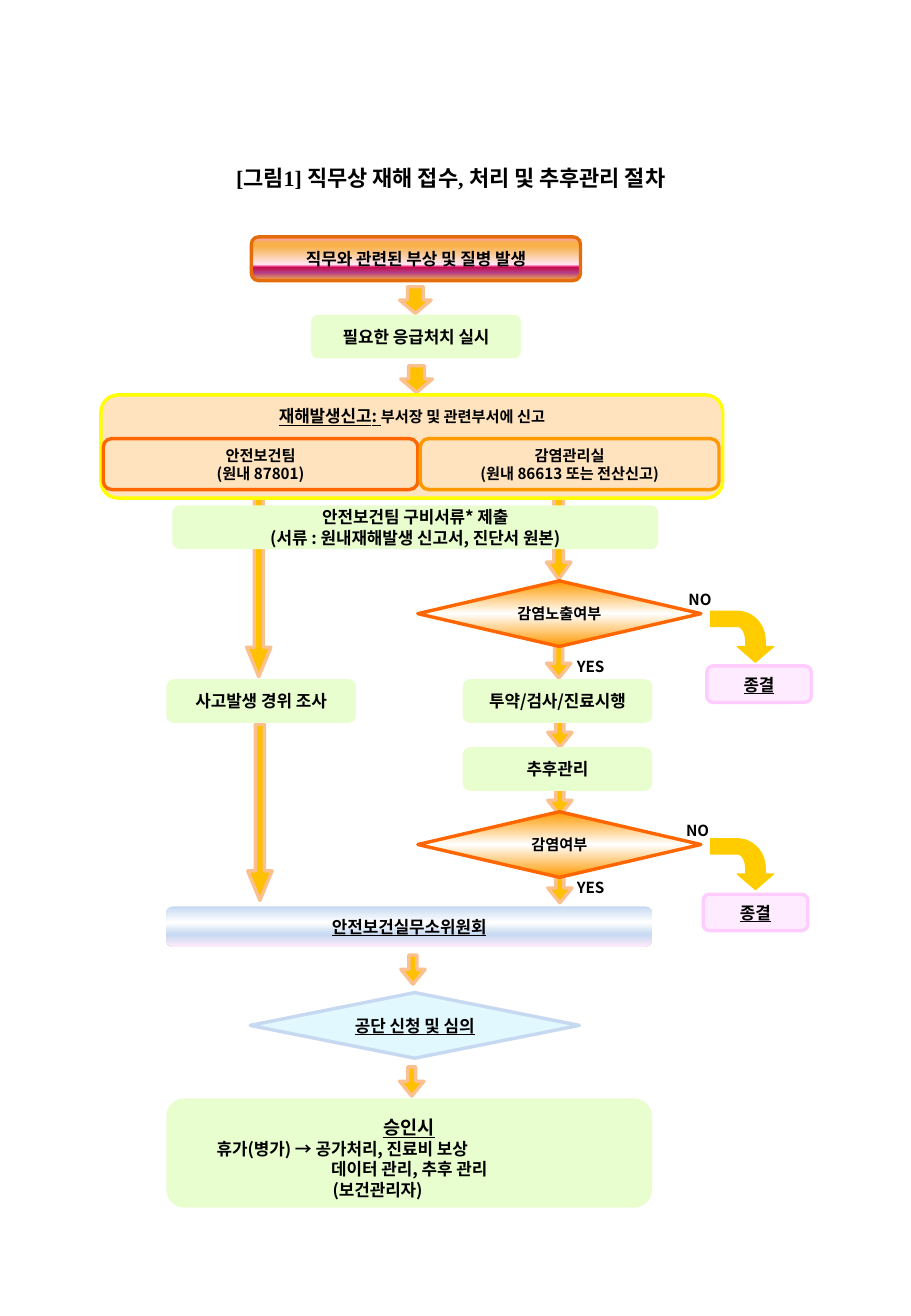
"""Build the flowchart slide for reporting and following up work-related injuries."""
from math import cos, radians, sin

from lxml.etree import SubElement
from pptx import Presentation
from pptx.dml.color import RGBColor
from pptx.enum.shapes import MSO_SHAPE
from pptx.enum.text import MSO_ANCHOR, MSO_AUTO_SIZE, PP_ALIGN
from pptx.oxml.ns import qn
from pptx.util import Pt


class Theme:
    sans, serif = "Noto Sans CJK KR", "Times New Roman"
    title, heading, body, small = 13, 11, 10, 9
    leading = 1.22
    ink = "000000"
    green, peach, ice, pink = "E9FECE", "FEE3BE", "E1F8FF", "FFEBFF"
    pink_edge, ice_edge = "FFCCFF", "C6D9F1"
    yellow, orange, amber, rust = "FFFF00", "FF6600", "FF9900", "E46C0A"
    arrow, arrow_edge, bend = "FFC000", "FAC090", "FFCC00"
    incident = [(0, "FC9FCB"), (13, "F8B049"), (21, "F8B049"), (63, "FEE7F2"),
                (67, "F952A0"), (69, "C50849"), (82, "B43E85"), (100, "F8B049")]
    decision = [(0, "FF9900"), (50, "FFFFFF"), (100, "FF9900")]
    committee = [(0, "C6D9F1"), (40, "FFFFFF"), (70, "C6D9F1"), (100, "FFEBFA")]


def write(para, text, size=Theme.body, font=Theme.sans, underline=False):
    span = para.add_run()
    span.text = text
    span.font.size = Pt(size)
    span.font.bold = True
    span.font.underline = underline
    span.font.color.rgb = RGBColor.from_string(Theme.ink)
    span.font.name = font
    SubElement(span.font._element, qn("a:ea")).set("typeface", Theme.sans)


def paint(shape, fill, edge=None, weight=2):
    shape.shadow.inherit = False
    if isinstance(fill, list):
        shape.fill.gradient()
        shape.fill.gradient_angle = 270
        stops = shape.fill._xPr.find(qn("a:gradFill")).find(qn("a:gsLst"))
        for stop in list(stops):
            stops.remove(stop)
        for position, colour in fill:
            stop = SubElement(stops, qn("a:gs"))
            stop.set("pos", str(position * 1000))
            SubElement(stop, qn("a:srgbClr")).set("val", colour)
    else:
        shape.fill.solid()
        shape.fill.fore_color.rgb = RGBColor.from_string(fill)
    if edge:
        shape.line.color.rgb = RGBColor.from_string(edge)
        shape.line.width = Pt(weight)
    else:
        shape.line.fill.background()


deck = Presentation()
deck.slide_width, deck.slide_height = Pt(540), Pt(779.8)
page = deck.slides.add_slide(deck.slide_layouts[5])

title = page.shapes.title
title.left, title.top, title.width, title.height = Pt(119.5), Pt(93.6), Pt(295.2), Pt(23)
frame = title.text_frame
frame.auto_size = MSO_AUTO_SIZE.NONE
frame.word_wrap = True
frame.vertical_anchor = MSO_ANCHOR.MIDDLE
frame.margin_left = frame.margin_right = frame.margin_top = frame.margin_bottom = 0
frame.paragraphs[0].alignment = PP_ALIGN.CENTER
write(frame.paragraphs[0], "[그림1] 직무상 재해 접수, 처리 및 추후관리 절차",
      size=Theme.title, font=Theme.serif)

wide, slim, long = (0.5, 0.5), (0.33, 0.61), (0.37, 1.21)
arrows = [
    (236.9, 169.9, 18.7, 15.8, wide),
    (237.6, 216.7, 18.7, 15.8, wide),
    (324, 295.2, 14.4, 48.2, (0.4, 0.71)),
    (146.2, 295.2, 14.4, 105.8, long),
    (146.9, 429.1, 14.4, 104.4, long),
    (324, 381.6, 14.4, 20.2, slim),
    (324.7, 425.5, 14.4, 17.3, slim),
    (324.7, 465.8, 14.4, 17.3, slim),
    (324.7, 517.7, 14.4, 17.3, slim),
    (237.6, 565.9, 14.4, 17.3, slim),
    (236.9, 632.2, 14.4, 17.3, slim),
]
for left, top, width, height, (shaft, head) in arrows:
    arrow = page.shapes.add_shape(MSO_SHAPE.DOWN_ARROW, Pt(left), Pt(top), Pt(width), Pt(height))
    arrow.adjustments[0], arrow.adjustments[1] = shaft, head
    paint(arrow, Theme.arrow, Theme.arrow_edge)

report = page.shapes.add_shape(MSO_SHAPE.ROUNDED_RECTANGLE, Pt(59.8), Pt(234), Pt(368.6), Pt(61.2))
paint(report, Theme.peach, Theme.yellow)
report.text_frame.vertical_anchor = MSO_ANCHOR.TOP
para = report.text_frame.paragraphs[0]
para.alignment = PP_ALIGN.CENTER
write(para, "재해발생신고: ", underline=True)
write(para, "부서장 및 관련부서에 신고", size=Theme.small)

rounded, diamond = MSO_SHAPE.ROUNDED_RECTANGLE, MSO_SHAPE.FLOWCHART_DECISION
plain, small = {}, {"size": Theme.small}
marked = {"underline": True}
boxes = [
    (rounded, 149, 140.4, 195.1, 25.9, Theme.incident, Theme.rust, plain,
     "직무와 관련된 부상 및 질병 발생"),
    (rounded, 184.3, 186.5, 124.6, 25.9, Theme.green, None, plain, "필요한 응급처치 실시"),
    (rounded, 61.2, 259.9, 186.5, 30.2, Theme.peach, Theme.orange, small,
     "안전보건팀\n(원내 87801)"),
    (rounded, 249.1, 259.9, 177.1, 30.2, Theme.peach, Theme.amber, small,
     "감염관리실\n(원내 86613 또는 전산신고)"),
    (rounded, 102.2, 299.5, 288, 25.9, Theme.green, None, plain,
     "안전보건팀 구비서류* 제출\n(서류 : 원내재해발생 신고서, 진단서 원본)"),
    (diamond, 247.7, 344.2, 167.8, 38.9, Theme.decision, Theme.orange, small, "감염노출여부"),
    (rounded, 419, 394.6, 61.9, 21.6, Theme.pink, Theme.pink_edge, marked, "종결"),
    (rounded, 98.6, 402.5, 112.3, 25.9, Theme.green, None, plain, "사고발생 경위 조사"),
    (rounded, 274.3, 402.5, 112.3, 25.9, Theme.green, None, plain, "투약/검사/진료시행"),
    (rounded, 274.3, 442.8, 112.3, 25.9, Theme.green, None, plain, "추후관리"),
    (diamond, 247.7, 481, 167.8, 38.9, Theme.decision, Theme.orange, small, "감염여부"),
    (rounded, 416.9, 529.9, 61.9, 21.6, Theme.pink, Theme.pink_edge, marked, "종결"),
    (rounded, 98.6, 537.1, 288, 23.8, Theme.committee, None, marked, "안전보건실무소위원회"),
    (diamond, 148.3, 588.2, 195.1, 38.9, Theme.ice, Theme.ice_edge, marked, "공단 신청 및 심의"),
]
for kind, left, top, width, height, fill, edge, style, text in boxes:
    box = page.shapes.add_shape(kind, Pt(left), Pt(top), Pt(width), Pt(height))
    paint(box, fill, edge)
    frame = box.text_frame
    frame.word_wrap = True
    frame.vertical_anchor = MSO_ANCHOR.MIDDLE
    frame.margin_left = frame.margin_right = frame.margin_top = frame.margin_bottom = 0
    for number, line in enumerate(text.split("\n")):
        para = frame.add_paragraph() if number else frame.paragraphs[0]
        para.alignment = PP_ALIGN.CENTER
        para.line_spacing = Pt(style.get("size", Theme.body) * Theme.leading)
        write(para, line, **style)

approval = page.shapes.add_shape(rounded, Pt(98.6), Pt(650.9), Pt(288), Pt(64.8))
paint(approval, Theme.green)
frame = approval.text_frame
frame.vertical_anchor = MSO_ANCHOR.MIDDLE
frame.margin_top, frame.margin_bottom = Pt(6.4), 0
approval_lines = [
    ("승인시", {"size": Theme.heading, "underline": True}, None),
    ("휴가(병가) → 공가처리, 진료비 보상", plain, 19.6),
    ("데이터 관리, 추후 관리", plain, None),
    ("(보건관리자)", plain, 88.3),
]
for number, (text, style, indent) in enumerate(approval_lines):
    para = frame.add_paragraph() if number else frame.paragraphs[0]
    para.alignment = PP_ALIGN.LEFT if indent else PP_ALIGN.CENTER
    para.line_spacing = Pt(Theme.body * Theme.leading)
    if indent:
        para._p.get_or_add_pPr().set("marL", str(Pt(indent)))
    write(para, text, **style)

answers = [("NO", 401, 346.3), ("YES", 334.8, 385.9), ("NO", 399.6, 483.1), ("YES", 334.8, 517)]
for text, left, top in answers:
    label = page.shapes.add_textbox(Pt(left), Pt(top), Pt(32.4), Pt(18))
    label.text_frame.word_wrap = False
    write(label.text_frame.paragraphs[0], text, size=Theme.small)

angles = [radians(degree) for degree in range(0, 91, 10)]
outer = [(15.8 + 16.6 * cos(a), 17.3 - 17.3 * sin(a)) for a in angles]
inner = [(15.8 + 5 * cos(a), 17.3 - 8.3 * sin(a)) for a in reversed(angles)]
outline = [(26.6, 30.2), (37.4, 20.9), (32.4, 20.9), *outer, (0, 0), (0, 9),
           *inner, (20.8, 20.9), (15.8, 20.9)]
for top in (362.2, 497):
    points = [(Pt(421.2 + x), Pt(top + y)) for x, y in outline]
    builder = page.shapes.build_freeform(*points[0])
    builder.add_line_segments(points[1:], close=True)
    paint(builder.convert_to_shape(), Theme.bend, Theme.bend, 0.75)

deck.save("out.pptx")
